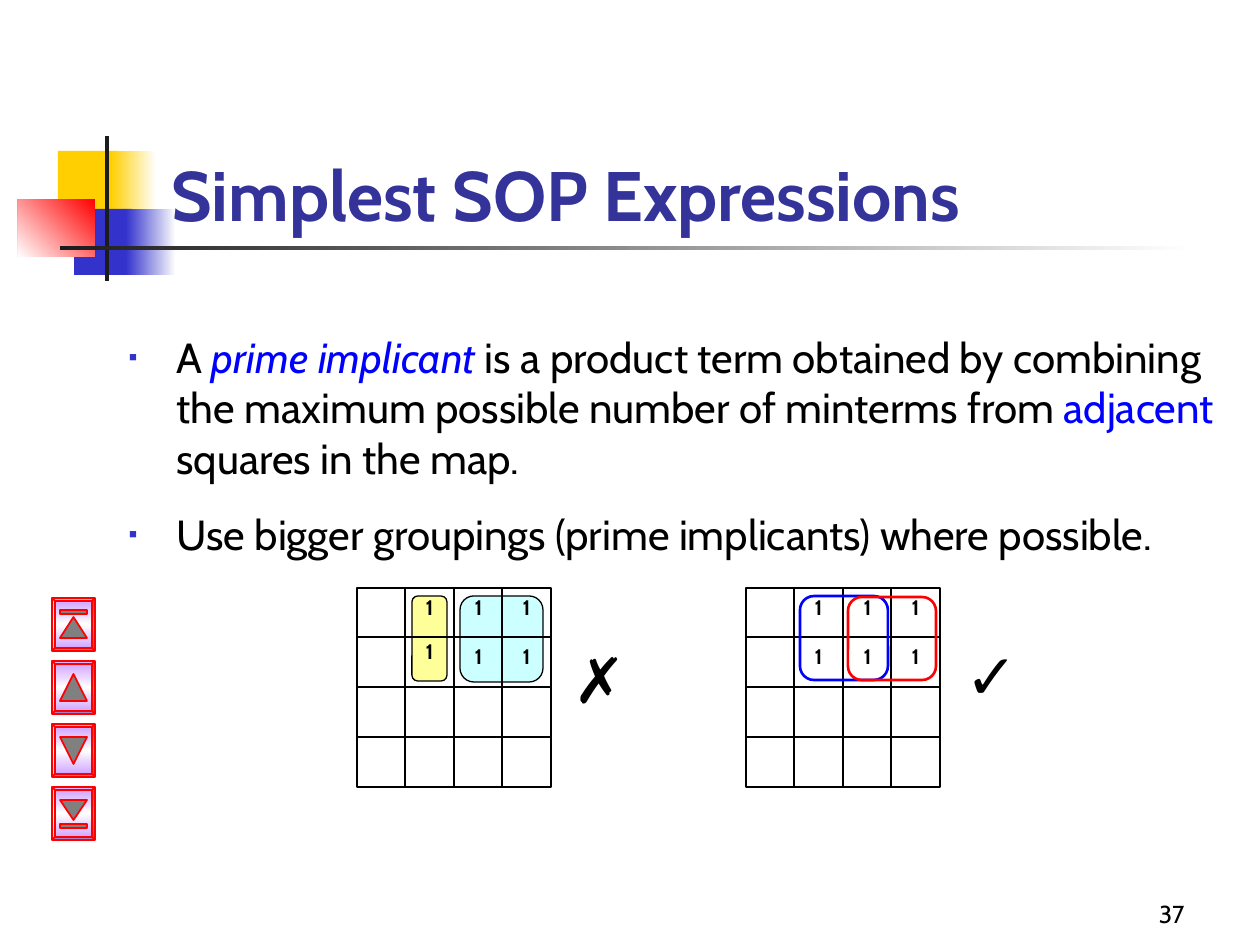
"""Build the Karnaugh map slide on simplest SOP expressions."""
from copy import deepcopy
from dataclasses import dataclass
from typing import NamedTuple, Optional

from lxml import etree
from pptx import Presentation, util as u
from pptx.dml.color import RGBColor
from pptx.enum import shapes, text
from pptx.oxml.ns import qn

EMU_PER_PX = 914400 / 126
KIND = shapes.MSO_SHAPE


@dataclass(frozen=True)
class Theme:
    font: str = "Cabin"
    symbol_font: str = "Arial"
    title: str = "333399"
    ink: str = "000000"
    accent: str = "0000FF"
    navy: str = "3333CC"
    gold: str = "FFCF01"
    red: str = "FF0000"
    white: str = "FFFFFF"
    charcoal: str = "1C1C1C"
    lilac: str = "CC99FF"
    grey: str = "808080"
    cyan: str = "CCFFFF"
    yellow: str = "FFFF99"
    title_size: int = 40
    body_size: int = 24
    mark_size: int = 36
    number_size: int = 14
    cell_size: int = 12


THEME = Theme()


class Box(NamedTuple):
    left: int
    top: int
    width: int
    height: int


class Part(NamedTuple):
    words: str
    color: str = THEME.ink
    italic: bool = False


class Loop(NamedTuple):
    box: Box
    fill: Optional[str]
    line: str
    weight: float


class Map(NamedTuple):
    left: int
    loops: list
    lifted: tuple
    mark: str
    mark_box: Box


class Button(NamedTuple):
    top: int
    triangle_top: int
    triangle_height: int
    points_down: bool
    bar_top: Optional[int] = None


MAP_TOP, MAP_WIDTH, MAP_HEIGHT, CELLS = 588, 194, 199, 4
LIFT = 5
MAPS = [
    Map(357, [Loop(Box(460, 596, 83, 86), THEME.cyan, THEME.ink, 0.75),
              Loop(Box(412, 596, 35, 85), THEME.yellow, THEME.ink, 0.75)],
        (1, 1), "✗", Box(561, 634, 97, 116)),
    Map(746, [Loop(Box(800, 596, 88, 84), None, THEME.accent, 1.5),
              Loop(Box(848, 597, 88, 83), None, THEME.red, 1.5)],
        (), "✓", Box(953, 630, 97, 116)),
]
BUTTONS = [Button(598, 19, 21, False, 12), Button(661, 13, 27, False),
           Button(724, 13, 27, True), Button(787, 13, 20, True, 37)]
DECORATIONS = [
    (Box(58, 151, 60, 65), [THEME.gold], 0),
    (Box(111, 151, 45, 65), [THEME.gold, THEME.white], 0),
    (Box(74, 209, 58, 66), [THEME.navy], 0),
    (Box(126, 209, 50, 66), [THEME.navy, THEME.white], 0),
    (Box(18, 199, 77, 58), [THEME.red, THEME.white], 225),
    (Box(105, 136, 4, 145), [THEME.charcoal], 0),
    (Box(60, 246, 1134, 4), [THEME.charcoal, THEME.white], 0),
]
BULLETS = [
    [Part("A "), Part("prime implicant", THEME.accent, True),
     Part(" is a product term obtained by combining the maximum possible "
          "number of minterms from "),
     Part("adjacent", THEME.accent), Part(" squares in the map.")],
    [Part("Use bigger groupings (prime implicants) where possible.")],
]


def px(length: int) -> int:
    """Turn pixels into EMU."""
    return round(length * EMU_PER_PX)


def place(shape, box: Box) -> None:
    """Move and size a shape."""
    shape.left, shape.top, shape.width, shape.height = map(px, box)


def paint(fill, colors: list, angle: int = 0) -> None:
    """Fill with nothing, one colour or an even gradient."""
    if not colors:
        fill.background()
    elif len(colors) == 1:
        fill.solid()
        fill.fore_color.rgb = RGBColor.from_string(colors[0])
    else:
        fill.gradient()
        fill.gradient_angle = angle


def add_shape(slide, kind, box: Box, colors: list, line: Optional[str] = None,
              weight: float = 0.75, angle: int = 0):
    """Add a flat preset shape."""
    shape = slide.shapes.add_shape(kind, *map(px, box))
    shape.shadow.inherit = False
    paint(shape.fill, colors, angle)
    if len(colors) > 1:
        stop_list = shape._element.find(".//" + qn("a:gsLst"))
        while len(stop_list) < len(colors):
            stop_list.append(deepcopy(stop_list[0]))
        for index, stop in enumerate(shape.fill.gradient_stops):
            stop.color.rgb = RGBColor.from_string(colors[index])
            stop.position = index / (len(colors) - 1)
    paint(shape.line.fill, [line] if line else [])
    if line:
        shape.line.width = u.Pt(weight)
    return shape


def add_line(slide, start: tuple, end: tuple) -> None:
    """Add a thin straight grid line."""
    line = slide.shapes.add_connector(
        shapes.MSO_CONNECTOR.STRAIGHT, *map(px, start + end))
    paint(line.line.fill, [THEME.ink])
    line.line.width = u.Pt(0.75)
    etree.SubElement(line._element.spPr, qn("a:effectLst"))


def style(run, size: int, color: str = THEME.ink, font: str = THEME.font,
          bold: bool = False, italic: bool = False) -> None:
    """Format one run."""
    run.font.size, run.font.name = u.Pt(size), font
    run.font.bold, run.font.italic = bold, italic
    run.font.color.rgb = RGBColor.from_string(color)


def add_text(slide, box: Box, words: str, size: int, align=text.PP_ALIGN.LEFT,
             anchor=text.MSO_ANCHOR.TOP, **look) -> None:
    """Add a one-line text box."""
    frame = slide.shapes.add_textbox(*map(px, box)).text_frame
    frame.text, frame.word_wrap, frame.vertical_anchor = words, True, anchor
    frame.paragraphs[0].alignment = align
    style(frame.paragraphs[0].runs[0], size, **look)


def add_title(slide) -> None:
    """Fill the title placeholder."""
    title = slide.shapes.title
    place(title, Box(159, 84, 1074, 158))
    frame = title.text_frame
    frame.text = "Simplest SOP Expressions"
    frame.vertical_anchor = text.MSO_ANCHOR.BOTTOM
    frame.auto_size = text.MSO_AUTO_SIZE.NONE
    frame.paragraphs[0].alignment = text.PP_ALIGN.LEFT
    style(frame.paragraphs[0].runs[0], THEME.title_size, THEME.title, bold=True)


def add_bullets(slide) -> None:
    """Fill the body placeholder with the bulleted list."""
    body = slide.placeholders[1]
    place(body, Box(116, 325, 1118, 306))
    frame = body.text_frame
    frame.auto_size = text.MSO_AUTO_SIZE.NONE
    for index, parts in enumerate(BULLETS):
        paragraph = frame.add_paragraph() if index else frame.paragraphs[0]
        properties = paragraph._p.get_or_add_pPr()
        properties.set("marL", str(px(48)))
        properties.set("indent", str(-px(48)))
        paragraph.space_before = u.Pt(15 if index else 0)
        color = etree.SubElement(properties, qn("a:buClr"))
        etree.SubElement(color, qn("a:srgbClr"), val=THEME.navy)
        etree.SubElement(properties, qn("a:buSzPct"), val="60000")
        etree.SubElement(properties, qn("a:buChar"), char="▪")
        for part in parts:
            run = paragraph.add_run()
            run.text = part.words
            style(run, THEME.body_size, part.color, italic=part.italic)


def add_loop(slide, loop: Loop) -> None:
    """Draw a rounded loop around grouped minterms."""
    add_shape(slide, KIND.ROUNDED_RECTANGLE, loop.box,
              [loop.fill] if loop.fill else [], loop.line, loop.weight)


def add_map(slide, chart: Map) -> None:
    """Draw a Karnaugh map with its loops, minterms and verdict."""
    columns = [chart.left + MAP_WIDTH * i // CELLS for i in range(CELLS + 1)]
    rows = [MAP_TOP + MAP_HEIGHT * i // CELLS for i in range(CELLS + 1)]
    for loop in chart.loops:
        if loop.fill:
            add_loop(slide, loop)
    add_shape(slide, KIND.RECTANGLE,
              Box(chart.left, MAP_TOP, MAP_WIDTH, MAP_HEIGHT), [], THEME.ink)
    for x, y in zip(columns[1:-1], rows[1:-1]):
        add_line(slide, (columns[0], y), (columns[-1], y))
        add_line(slide, (x, rows[0]), (x, rows[-1]))
    for row in range(2):
        for column in range(1, CELLS):
            lift = LIFT if (row, column) == chart.lifted else 0
            add_text(slide, Box(columns[column], rows[row] - lift, 49, 50), "1",
                     THEME.cell_size, text.PP_ALIGN.CENTER, bold=True)
    for loop in chart.loops:
        if not loop.fill:
            add_loop(slide, loop)
    add_text(slide, chart.mark_box, chart.mark, THEME.mark_size,
             font=THEME.symbol_font)


def add_button(slide, button: Button) -> None:
    """Draw a bevelled navigation button."""
    bevel = add_shape(slide, KIND.BEVEL, Box(52, button.top, 43, 53),
                      [THEME.lilac, THEME.white, THEME.lilac], THEME.red, 1, 90)
    bevel.adjustments[0] = 0.07
    triangle = add_shape(
        slide, KIND.ISOSCELES_TRIANGLE,
        Box(60, button.top + button.triangle_top, 27, button.triangle_height),
        [THEME.grey], THEME.red, 1)
    triangle.rotation = 180 if button.points_down else 0
    if button.bar_top is not None:
        add_shape(slide, KIND.RECTANGLE, Box(60, button.top + button.bar_top, 27, 4),
                  [THEME.grey], THEME.red, 1)


def main() -> None:
    """Build and save the slide."""
    presentation = Presentation()
    presentation.slide_width, presentation.slide_height = px(1260), px(945)
    slide = presentation.slides.add_slide(presentation.slide_layouts[1])
    for box, colors, angle in DECORATIONS:
        add_shape(slide, KIND.RECTANGLE, box, colors, angle=angle)
    tree = slide.shapes._spTree
    for placeholder in list(slide.placeholders):
        tree.append(placeholder._element)
    add_title(slide)
    add_bullets(slide)
    for chart in MAPS:
        add_map(slide, chart)
    for button in BUTTONS:
        add_button(slide, button)
    add_text(slide, Box(935, 872, 262, 63), "37", THEME.number_size,
             text.PP_ALIGN.RIGHT, text.MSO_ANCHOR.BOTTOM)
    presentation.save("out.pptx")


if __name__ == "__main__":
    main()
